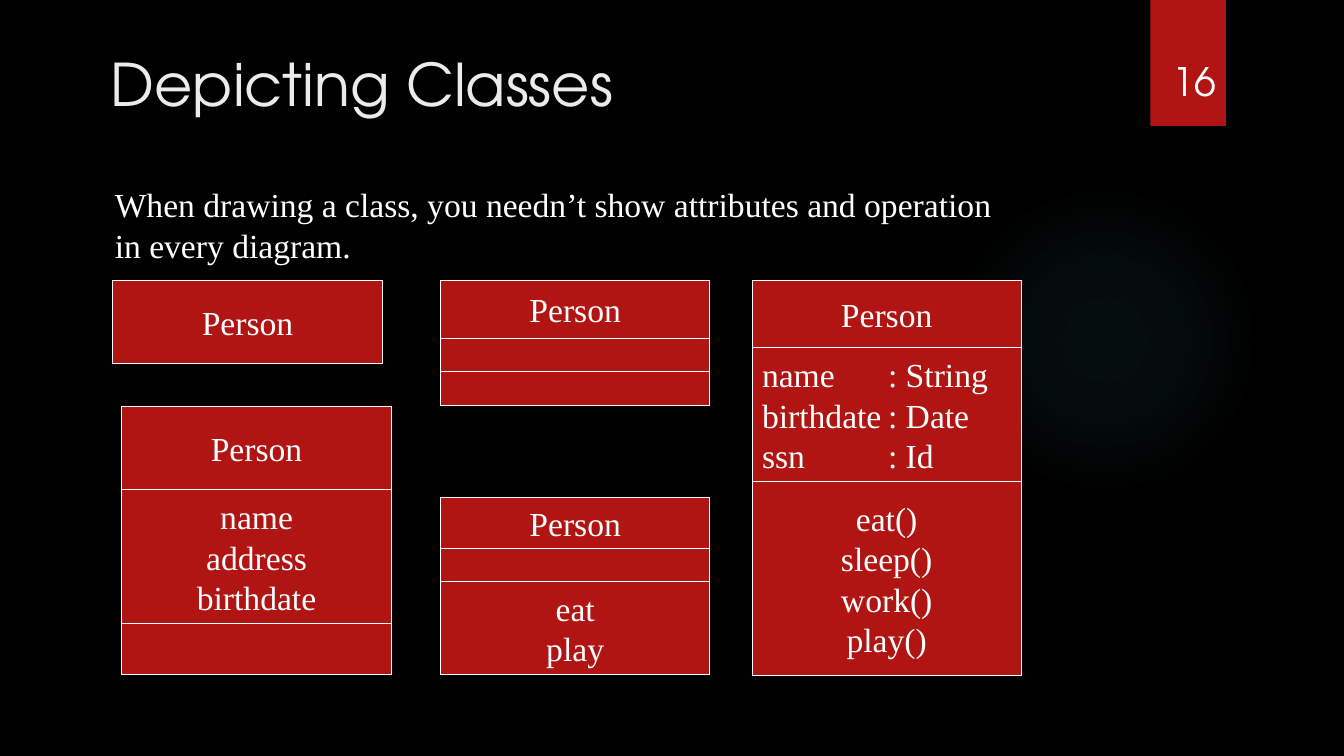
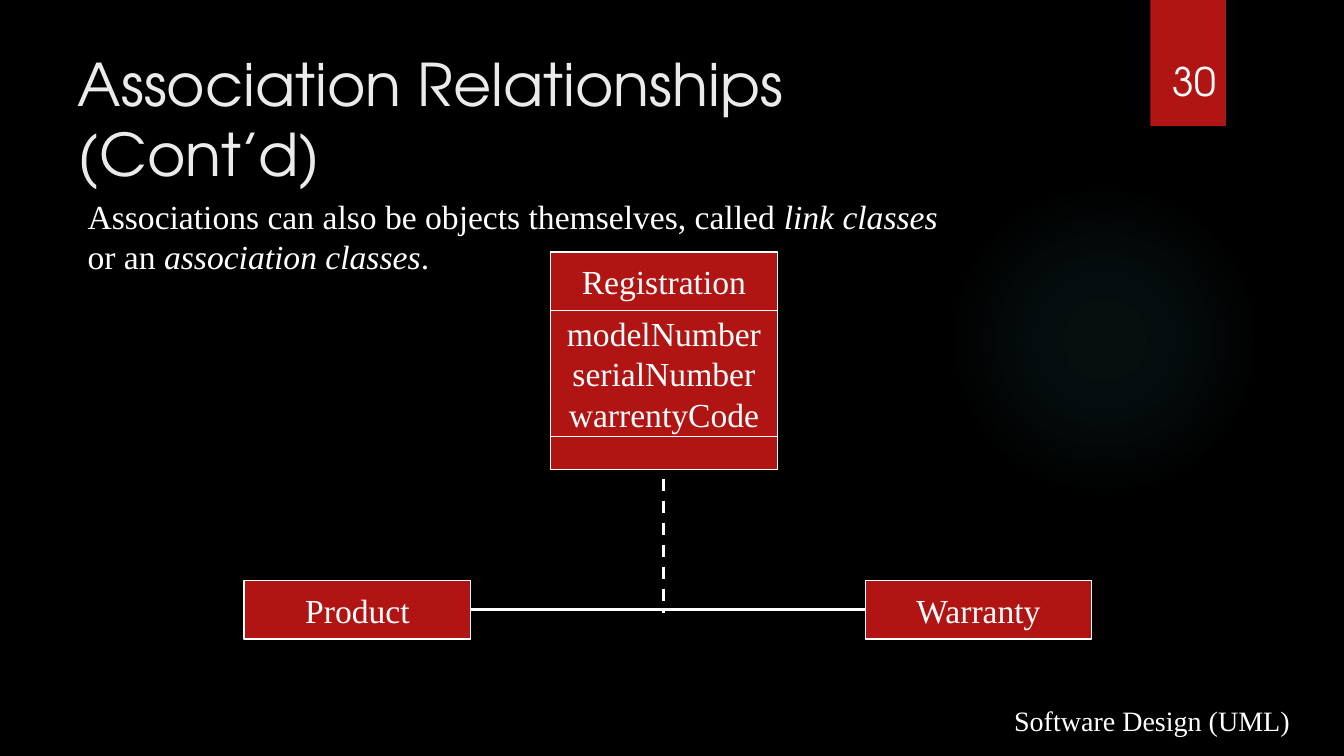
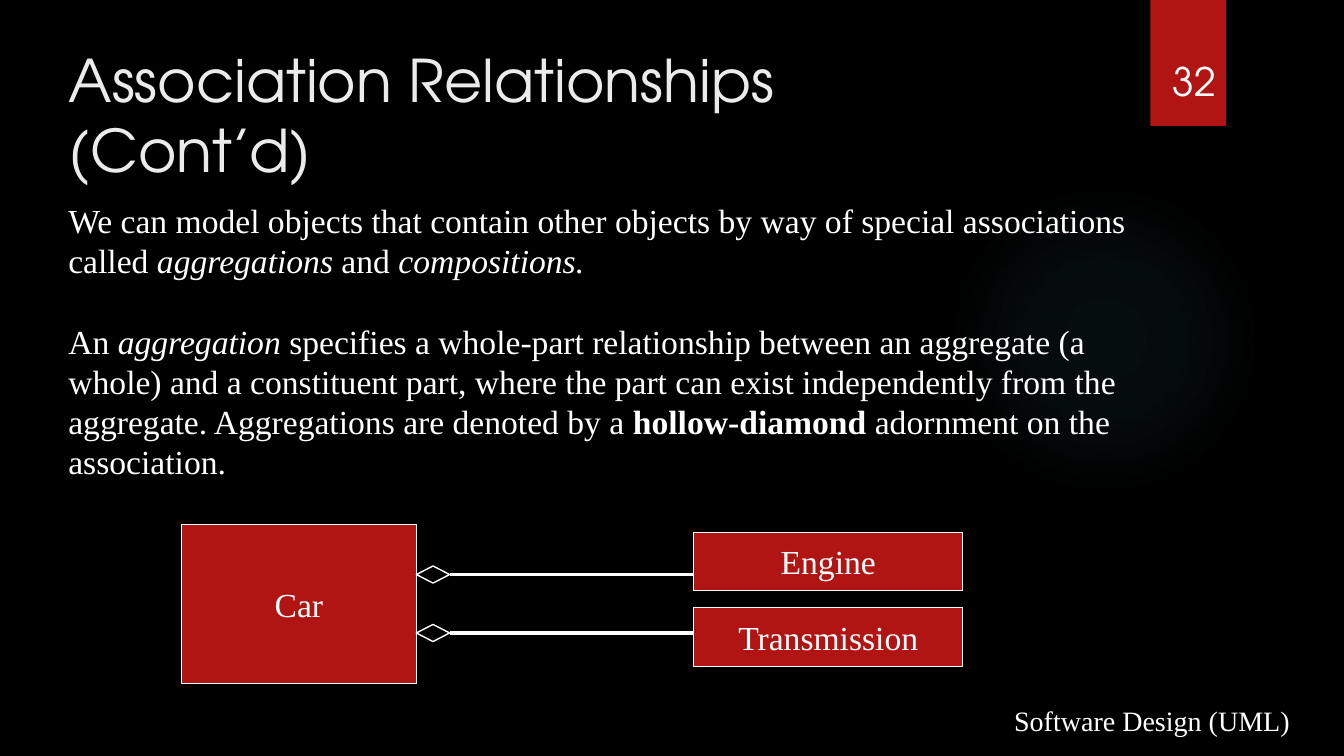
from dataclasses import dataclass

from lxml.etree import SubElement
from pptx import Presentation
from pptx.dml.color import RGBColor
from pptx.enum.dml import MSO_LINE
from pptx.enum.shapes import MSO_CONNECTOR, MSO_SHAPE
from pptx.enum.text import MSO_ANCHOR, MSO_AUTO_SIZE, PP_ALIGN
from pptx.oxml.ns import qn
from pptx.presentation import Presentation as Deck
from pptx.shapes.autoshape import Shape
from pptx.shapes.connector import Connector
from pptx.slide import Slide, SlideLayout
from pptx.text.text import TextFrame
from pptx.util import Inches, Pt


@dataclass(frozen=True)
class Theme:
    background: RGBColor = RGBColor(0x00, 0x00, 0x00)
    accent: RGBColor = RGBColor(0xB0, 0x15, 0x13)
    text: RGBColor = RGBColor(0xFF, 0xFF, 0xFF)
    title: RGBColor = RGBColor(0xEB, 0xEB, 0xEB)
    glow: str = "50B9C1"
    heading_font: str = "TeX Gyre Adventor"
    body_font: str = "Times New Roman"
    title_size: int = 42
    number_size: int = 28
    body_size: int = 24
    footer_size: int = 20
    thin_line: float = 0.75
    diamond_line: float = 1
    thick_line: float = 2.25


THEME = Theme()


@dataclass(frozen=True)
class Span:
    text: str
    italic: bool = False
    bold: bool = False


@dataclass(frozen=True)
class Area:
    left: float
    top: float
    width: float
    height: float


@dataclass(frozen=True)
class Compartment:
    height: float
    lines: tuple[str, ...] = ()
    tab_stop: float | None = None  # a tab stop makes the lines left-aligned


@dataclass(frozen=True)
class ClassBox:
    left: float
    top: float
    width: float
    compartments: tuple[Compartment, ...]


# Text

def style_paragraph(para, size: int, font: str = THEME.body_font,
                    color: RGBColor = THEME.text) -> None:
    para.font.size = Pt(size)
    para.font.name = font
    para.font.color.rgb = color


def add_text(page: Slide, area: Area, paragraphs: list[list[Span]],
             size: int = THEME.body_size, font: str = THEME.body_font,
             gap: float = 0) -> TextFrame:
    box = page.shapes.add_textbox(Inches(area.left), Inches(area.top),
                                  Inches(area.width), Inches(area.height))
    frame = box.text_frame
    frame.word_wrap = True
    for index, spans in enumerate(paragraphs):
        para = frame.add_paragraph() if index else frame.paragraphs[0]
        style_paragraph(para, size, font)
        if index:
            para.space_before = Pt(gap)
        for span in spans:
            run = para.add_run()
            run.text = span.text
            run.font.italic = span.italic or None
            run.font.bold = span.bold or None
    return frame


def add_tab_stop(para, position: float) -> None:
    properties = para.font._element.getparent()
    tabs = SubElement(properties, qn("a:tabLst"))
    SubElement(tabs, qn("a:tab"), pos=str(Inches(position)), algn="l")
    properties.insert(properties.index(para.font._element), tabs)


# Shapes and lines

def add_plain_shape(page: Slide, kind: MSO_SHAPE, area: Area) -> Shape:
    shape = page.shapes.add_shape(kind, Inches(area.left), Inches(area.top),
                                  Inches(area.width), Inches(area.height))
    shape.shadow.inherit = False
    shape.line.fill.background()
    return shape


def outline(shape: Shape, width: float) -> None:
    shape.line.color.rgb = THEME.text
    shape.line.width = Pt(width)


def add_class(page: Slide, box: ClassBox) -> list[Shape]:
    shapes = []
    top = box.top
    for part in box.compartments:
        shape = add_plain_shape(page, MSO_SHAPE.RECTANGLE,
                                Area(box.left, top, box.width, part.height))
        shape.fill.solid()
        shape.fill.fore_color.rgb = THEME.accent
        outline(shape, THEME.thin_line)
        frame = shape.text_frame
        frame.vertical_anchor = MSO_ANCHOR.MIDDLE
        for index, line in enumerate(part.lines):
            para = frame.add_paragraph() if index else frame.paragraphs[0]
            para.add_run().text = line
            style_paragraph(para, THEME.body_size)
            para.alignment = PP_ALIGN.LEFT if part.tab_stop else PP_ALIGN.CENTER
            if part.tab_stop:
                add_tab_stop(para, part.tab_stop)
        shapes.append(shape)
        top += part.height
    return shapes


def add_line(page: Slide, start: tuple[float, float],
             end: tuple[float, float]) -> Connector:
    line = page.shapes.add_connector(
        MSO_CONNECTOR.STRAIGHT, Inches(start[0]), Inches(start[1]),
        Inches(end[0]), Inches(end[1]))
    line.line.color.rgb = THEME.text
    line.line.width = Pt(THEME.thick_line)
    SubElement(line.element.spPr, qn("a:effectLst"))
    return line


def fill_with_glow(shape: Shape) -> None:
    shape.fill.gradient()
    gradient = shape.element.spPr.find(qn("a:gradFill"))
    for child in list(gradient):
        gradient.remove(child)
    stops = SubElement(gradient, qn("a:gsLst"))
    for position, opacity in ((0, 7), (36, 6), (69, 0)):
        stop = SubElement(stops, qn("a:gs"), pos=str(position * 1000))
        color = SubElement(stop, qn("a:srgbClr"), val=THEME.glow)
        SubElement(color, qn("a:alpha"), val=str(opacity * 1000))
    circle = SubElement(gradient, qn("a:path"), path="circle")
    SubElement(circle, qn("a:fillToRect"), l="50000", t="50000",
               r="50000", b="50000")


# Shared slide parts

def decorate_layout(layout: SlideLayout, page: Slide) -> None:
    """Draw the glow and the number band, then move them to the layout."""
    glow = add_plain_shape(page, MSO_SHAPE.OVAL, Area(9.41, 1.83, 3.08, 3.08))
    fill_with_glow(glow)
    band = add_plain_shape(page, MSO_SHAPE.RECTANGLE, Area(11.41, 0, 0.75, 1.25))
    band.fill.solid()
    band.fill.fore_color.rgb = THEME.accent
    for shape in (glow, band):
        layout.shapes.element.append(shape.element)


def add_page(deck: Deck, title: str, title_area: Area, number: int,
             footer: str = "") -> Slide:
    layout = deck.slide_layouts.get_by_name("Title Only")
    page = deck.slides.add_slide(layout)
    if len(deck.slides) == 1:
        decorate_layout(layout, page)
    heading = page.shapes.title
    heading.left, heading.top = Inches(title_area.left), Inches(title_area.top)
    heading.width, heading.height = Inches(title_area.width), Inches(title_area.height)
    frame = heading.text_frame
    frame.text = title
    frame.word_wrap = True
    frame.auto_size = MSO_AUTO_SIZE.NONE
    frame.vertical_anchor = MSO_ANCHOR.TOP
    para = frame.paragraphs[0]
    para.alignment = PP_ALIGN.LEFT
    style_paragraph(para, THEME.title_size, THEME.heading_font, THEME.title)
    add_text(page, Area(11.53, 0.52, 0.92, 0.79), [[Span(str(number))]],
             THEME.number_size, THEME.heading_font)
    if footer:
        note = add_text(page, Area(9.96, 7.03, 4.22, 0.33), [[Span(footer)]],
                        THEME.footer_size)
        note.vertical_anchor = MSO_ANCHOR.BOTTOM
    return page


# Slides

def build_classes(deck: Deck) -> None:
    page = add_page(deck, "Depicting Classes", Area(1, 0.42, 11.44, 0.58), 16)
    add_text(page, Area(1.04, 1.78, 9.13, 0.91), [[Span(
        "When drawing a class, you needn’t show attributes and operation "
        "in every diagram.")]])
    name = ("Person",)
    width = 2.67
    attributes = ("name\t: String", "birthdate\t: Date", "ssn\t: Id")
    operations = ("eat()", "sleep()", "work()", "play()")
    for box in (
        ClassBox(1.12, 2.78, width, (Compartment(0.83, name),)),
        ClassBox(1.21, 4.03, width, (
            Compartment(0.83, name),
            Compartment(1.33, ("name", "address", "birthdate")),
            Compartment(0.5))),
        ClassBox(4.37, 2.78, width, (
            Compartment(0.58, name), Compartment(0.33), Compartment(0.33))),
        ClassBox(4.37, 4.94, width, (
            Compartment(0.5, name), Compartment(0.33),
            Compartment(0.92, ("eat", "play")))),
        ClassBox(7.46, 2.78, width, (
            Compartment(0.67, name), Compartment(1.33, attributes, 1.25),
            Compartment(1.92, operations))),
    ):
        add_class(page, box)


def build_link_classes(deck: Deck, title: str, footer: str) -> None:
    page = add_page(deck, title, Area(0.67, 0.42, 8.83, 0.58), 30, footer)
    add_text(page, Area(0.77, 1.89, 8.87, 0.91), [[
        Span("Associations can also be objects themselves, called "),
        Span("link classes", italic=True), Span(" or an "),
        Span("association classes", italic=True), Span(".")]])
    width = 2.25
    product, warranty = (
        add_class(page, ClassBox(left, 5.76, width, (Compartment(0.58, (name,)),)))[0]
        for left, name in ((2.42, "Product"), (8.58, "Warranty")))
    association = add_line(page, (4.67, 6.05), (8.58, 6.05))
    association.begin_connect(product, 3)
    association.end_connect(warranty, 1)
    add_line(page, (6.58, 4.75), (6.58, 6.08)).line.dash_style = MSO_LINE.DASH
    add_class(page, ClassBox(5.46, 2.5, width, (
        Compartment(0.58, ("Registration",)),
        Compartment(1.25, ("modelNumber", "serialNumber", "warrentyCode")),
        Compartment(0.33))))


def build_aggregation(deck: Deck, title: str, footer: str) -> None:
    page = add_page(deck, title, Area(0.58, 0.38, 8.83, 0.58), 32, footer)
    add_text(page, Area(0.58, 1.93, 10.73, 2.93), [
        [Span("We can model objects that contain other objects by way of "
              "special associations called "),
         Span("aggregations", italic=True), Span(" and "),
         Span("compositions.", italic=True)],
        [Span("An "), Span("aggregation", italic=True),
         Span(" specifies a whole-part relationship between an aggregate "
              "(a whole) and a constituent part, where the part can exist "
              "independently from the aggregate. Aggregations are denoted by a "),
         Span("hollow-diamond ", bold=True),
         Span("adornment on the association.")],
    ], gap=28.8)
    whole_right, part_left = 4.13, 6.88
    diamond_width, diamond_height = 0.33, 0.17
    add_class(page, ClassBox(1.8, 5.2, 2.33, (Compartment(1.58, ("Car",)),)))
    for name, top, line_top in (("Engine", 5.28, 5.7), ("Transmission", 6.03, 6.28)):
        add_class(page, ClassBox(part_left, top, 2.67, (Compartment(0.58, (name,)),)))
        add_line(page, (whole_right + diamond_width, line_top), (part_left, line_top))
        diamond = add_plain_shape(page, MSO_SHAPE.DIAMOND, Area(
            whole_right, line_top - diamond_height / 2, diamond_width, diamond_height))
        diamond.fill.background()
        outline(diamond, THEME.diamond_line)


def main() -> None:
    deck = Presentation()
    deck.slide_width, deck.slide_height = Inches(13.33), Inches(7.5)
    background = deck.slide_master.background.fill
    background.solid()
    background.fore_color.rgb = THEME.background
    title, footer = "Association Relationships (Cont’d)", "Software Design (UML)"
    build_classes(deck)
    build_link_classes(deck, title, footer)
    build_aggregation(deck, title, footer)
    deck.save("out.pptx")


if __name__ == "__main__":
    main()
